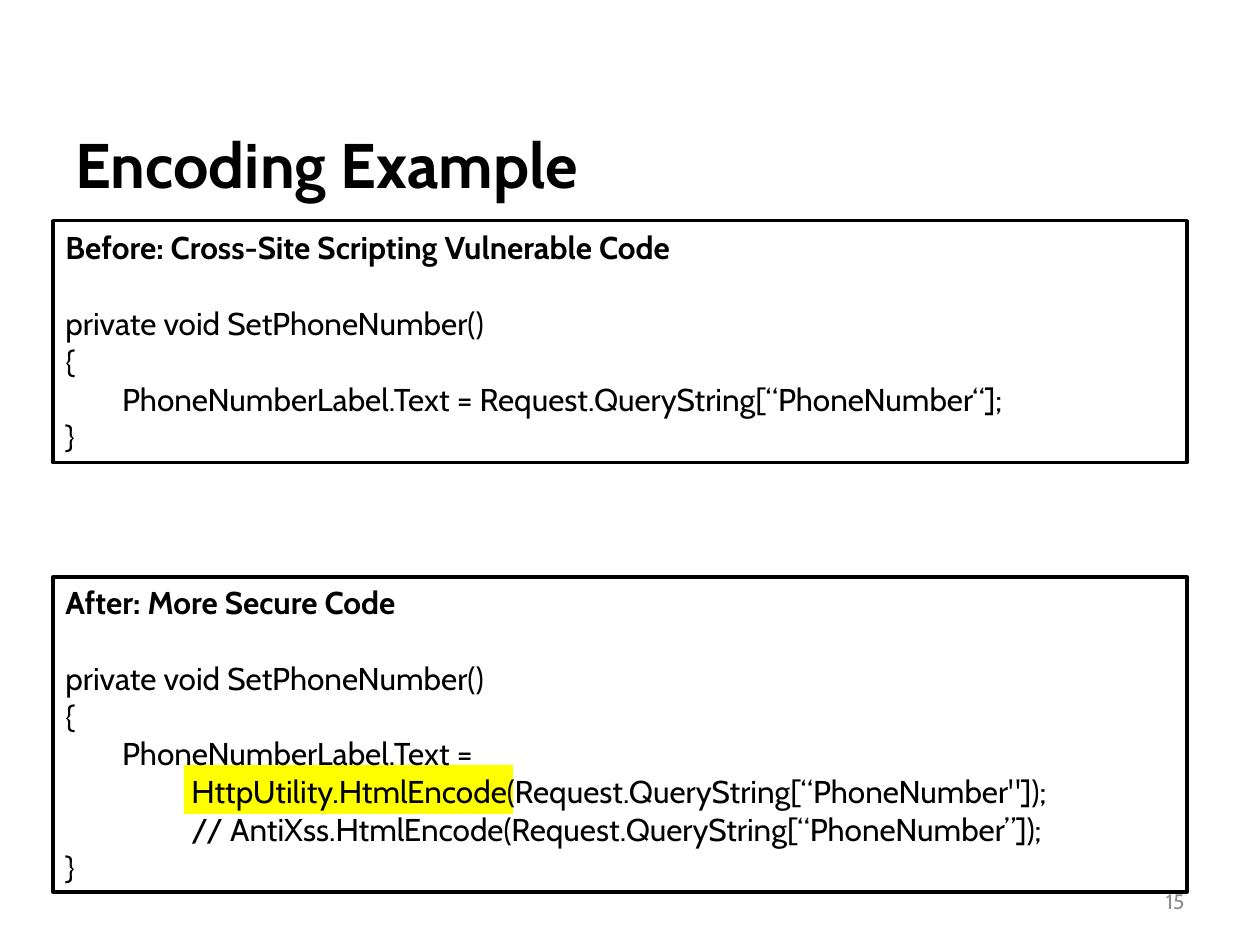
"""Build the encoding example slide with code before and after the fix."""
from lxml import etree
from pptx import Presentation
from pptx.dml.color import RGBColor
from pptx.enum.shapes import MSO_SHAPE
from pptx.enum.text import MSO_ANCHOR, PP_ALIGN
from pptx.oxml.ns import qn
from pptx.util import Cm, Pt

RECT = MSO_SHAPE.RECTANGLE
MIDDLE = MSO_ANCHOR.MIDDLE
LEFT, RIGHT = PP_ALIGN.LEFT, PP_ALIGN.RIGHT

COLORS = {"text": "000000", "number": "8C8C8C", "highlight": "FFFF00"}
FONT = "Cabin"
HIGHLIGHT = (3.71, 15.42, 6.63, 0.99)
TITLE = ("Encoding Example", (1.27, 2.34, 22.86, 1.9),
         {"size": Pt(36), "bold": True}, "text", LEFT)
NUMBER = ("15", (18.21, 17.65, 5.92, 1.02),
          {"size": Pt(12), "bold": False}, "number", RIGHT)
CODE_LEFT, CODE_WIDTH = 1.07, 22.86
HEADING_GAP = Pt(21.6)
TAB_STOP = Cm(2.54)
CODE_BOXES = [
    (4.45, 4.88, "Before: Cross-Site Scripting Vulnerable Code", [
        "private void SetPhoneNumber()",
        "{",
        "        PhoneNumberLabel.Text = Request.QueryString[“PhoneNumber“];",
        "}",
    ]),
    (11.63, 6.35, "After: More Secure Code", [
        "private void SetPhoneNumber()",
        "{",
        "        PhoneNumberLabel.Text =",
        "\tHttpUtility.HtmlEncode(Request.QueryString[“PhoneNumber\"]);",
        "\t// AntiXss.HtmlEncode(Request.QueryString[“PhoneNumber”]);",
        "}",
    ]),
]


def rgb(name):
    return RGBColor.from_string(COLORS[name])


def add_rect(slide, box):
    s = slide.shapes.add_shape(RECT, *map(Cm, box))
    s.shadow.inherit = False
    return s


def prepare_frame(s):
    tf = s.text_frame
    tf.word_wrap = True
    tf.vertical_anchor = MIDDLE
    return tf


def write(p, text, style, color="text", align=LEFT):
    p.alignment = align
    r = p.add_run()
    r.text = text
    for name, value in {"name": FONT, **style}.items():
        setattr(r.font, name, value)
    r.font.color.rgb = rgb(color)


def add_label(slide, text, box, style, color, align):
    tf = prepare_frame(slide.shapes.add_textbox(*map(Cm, box)))
    write(tf.paragraphs[0], text, style, color, align)


def add_code_box(slide, top, height, heading, lines):
    s = add_rect(slide, (CODE_LEFT, top, CODE_WIDTH, height))
    s.fill.background()
    s.line.color.rgb = rgb("text")
    s.line.width = Pt(2)
    tf = prepare_frame(s)
    p = tf.paragraphs[0]
    p.space_after = HEADING_GAP
    write(p, heading, {"size": Pt(18), "bold": True})
    for line in lines:
        p = tf.add_paragraph()
        if line.startswith("\t"):
            tabs = etree.SubElement(p._p.get_or_add_pPr(), qn("a:tabLst"))
            etree.SubElement(tabs, qn("a:tab"), pos=str(TAB_STOP), algn="l")
        write(p, line, {"size": Pt(18), "bold": False})


def main():
    prs = Presentation()
    prs.slide_width, prs.slide_height = Cm(25.4), Cm(19.05)
    slide = prs.slides.add_slide(prs.slide_layouts[6])
    highlight = add_rect(slide, HIGHLIGHT)
    highlight.fill.solid()
    highlight.fill.fore_color.rgb = rgb("highlight")
    highlight.line.fill.background()
    for label in (TITLE, NUMBER):
        add_label(slide, *label)
    for code_box in CODE_BOXES:
        add_code_box(slide, *code_box)
    prs.save("out.pptx")


if __name__ == "__main__":
    main()
